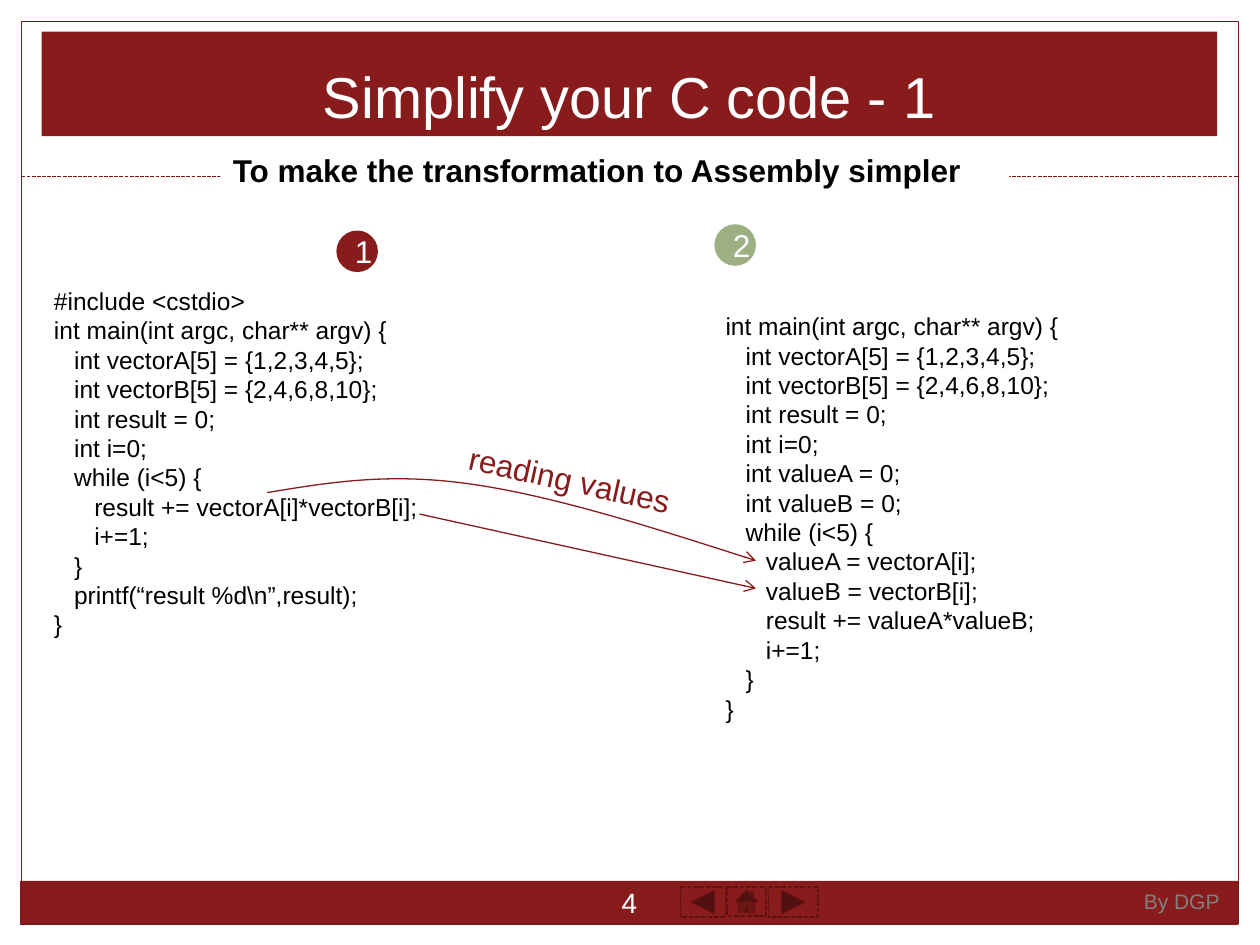
from lxml import etree
from pptx import Presentation, util as u
from pptx.dml.color import RGBColor
from pptx.enum import dml, shapes, text
from pptx.oxml.ns import qn

COLORS = {"maroon": "881C1C", "frame": "771717", "button": "621111",
          "sage": "9CB084", "white": "FFFFFF", "black": "000000", "gray": "7F7F7F"}
INDENT = 0.16  # inches for each nesting level

# (nesting level, statement)
DECLARATIONS = [(0, "int main(int argc, char** argv) {"),
                (1, "int vectorA[5] = {1,2,3,4,5};"),
                (1, "int vectorB[5] = {2,4,6,8,10};"),
                (1, "int result = 0;"),
                (1, "int i=0;")]
ORIGINAL_CODE = [(0, "#include <cstdio>"), *DECLARATIONS,
                 (1, "while (i<5) {"),
                 (2, "result += vectorA[i]*vectorB[i];"),
                 (2, "i+=1;"),
                 (1, "}"),
                 (1, "printf(“result %d\\n”,result);"),
                 (0, "}")]
SIMPLER_CODE = [*DECLARATIONS,
                (1, "int valueA = 0;"),
                (1, "int valueB = 0;"),
                (1, "while (i<5) {"),
                (2, "valueA = vectorA[i];"),
                (2, "valueB = vectorB[i];"),
                (2, "result += valueA*valueB;"),
                (2, "i+=1;"),
                (1, "}"),
                (0, "}")]


def rgb(name):
    return RGBColor.from_string(COLORS[name])


def inches(*values):
    return [u.Inches(value) for value in values]


def style_text(frame, size, color, align=text.PP_ALIGN.LEFT, bold=False):
    for paragraph in frame.paragraphs:
        paragraph.alignment = align
        for run in paragraph.runs:
            run.font.name = "Arial"
            run.font.size = u.Pt(size)
            run.font.bold = bold
            run.font.color.rgb = rgb(color)


def style_line(line, color, width=0.75, dashed=False):
    line.color.rgb = rgb(color)
    line.width = u.Pt(width)
    if dashed:
        line.dash_style = dml.MSO_LINE.SQUARE_DOT


def add_figure(slide, preset, box, fill=None):
    figure = slide.shapes.add_shape(preset, *inches(*box))
    figure.shadow.inherit = False
    figure.line.fill.background()
    if fill:
        figure.fill.solid()
        figure.fill.fore_color.rgb = rgb(fill)
    else:
        figure.fill.background()
    return figure


def add_label(slide, box, words, size, color, align=text.PP_ALIGN.LEFT,
              wrap=True, anchor=text.MSO_ANCHOR.TOP):
    label = slide.shapes.add_textbox(*inches(*box))
    label.text_frame.text = words
    label.text_frame.word_wrap = wrap
    label.text_frame.vertical_anchor = anchor
    style_text(label.text_frame, size, color, align)
    return label


def add_code(slide, box, lines):
    listing = add_label(slide, box, "\n".join(line for _, line in lines),
                        14, "black")
    for paragraph, (level, _) in zip(listing.text_frame.paragraphs, lines):
        paragraph.line_spacing = u.Pt(16.8)
        properties = paragraph._p.get_or_add_pPr()
        properties.set("marL", str(u.Inches(level * INDENT)))
        properties.set("indent", "0")


def add_arrowhead(line):
    etree.SubElement(line._get_or_add_ln(), qn("a:tailEnd"), type="arrow")


def add_line(slide, start, end, color, dashed=False):
    line = slide.shapes.add_connector(shapes.MSO_CONNECTOR.STRAIGHT,
                                      *inches(*start, *end))
    style_line(line.line, color, dashed=dashed)
    etree.SubElement(line._element.spPr, qn("a:effectLst"))
    return line


def add_curve(slide, start, points, color):
    """Draw cubic segments; points holds two controls and an end for each."""
    builder = slide.shapes.build_freeform(*inches(*start))
    builder.add_line_segments([inches(*point) for point in points], close=False)
    curve = builder.convert_to_shape()
    curve.shadow.inherit = False
    curve.fill.background()
    style_line(curve.line, color)
    segments = list(curve._element.iter(qn("a:lnTo")))
    for first in range(0, len(segments), 3):
        bezier = etree.Element(qn("a:cubicBezTo"))
        segments[first].addprevious(bezier)
        for segment in segments[first:first + 3]:
            bezier.append(segment[0])
            segment.getparent().remove(segment)
    return curve


def add_badge(slide, left, top, number, fill):
    badge = add_figure(slide, shapes.MSO_SHAPE.OVAL, (left, top, 0.33, 0.33), fill)
    badge.text_frame.text = number
    badge.text_frame.vertical_anchor = text.MSO_ANCHOR.MIDDLE
    style_text(badge.text_frame, 18, "white", text.PP_ALIGN.CENTER)


def add_frame_and_footer(slide):
    preset = shapes.MSO_SHAPE
    add_figure(slide, preset.RECTANGLE, (0.16, 6.99, 9.67, 0.35), "maroon")
    border = add_figure(slide, preset.RECTANGLE, (0.17, 0.17, 9.66, 7.16))
    style_line(border.line, "frame")
    add_line(slide, (0.17, 1.4), (9.83, 1.4), "frame", dashed=True)

    # Navigation buttons
    for kind, left, width, height in (
            (preset.ACTION_BUTTON_FORWARD_OR_NEXT, 6.1, 0.39, 0.24),
            (preset.ACTION_BUTTON_BACK_OR_PREVIOUS, 5.4, 0.36, 0.24),
            (preset.ACTION_BUTTON_HOME, 5.77, 0.31, 0.23)):
        button = add_figure(slide, kind, (left, 7.04, width, height), "maroon")
        style_line(button.line, "button", 0.91, dashed=True)

    # Slide number and author
    add_label(slide, (4.66, 6.99, 0.67, 0.34), "4", 16, "white",
              text.PP_ALIGN.CENTER, anchor=text.MSO_ANCHOR.MIDDLE)
    add_label(slide, (8.98, 7, 0.8, 0.3), "By DGP", 12, "gray", wrap=False)


def add_headings(slide):
    title = slide.shapes.title
    title.left, title.top, title.width, title.height = inches(0.33, 0.25, 9.33, 0.83)
    title.fill.solid()
    title.fill.fore_color.rgb = rgb("maroon")
    title.text_frame.text = "Simplify your C code - 1"
    title.text_frame.vertical_anchor = text.MSO_ANCHOR.BOTTOM
    style_text(title.text_frame, 33, "white", text.PP_ALIGN.CENTER)

    subtitle = add_figure(slide, shapes.MSO_SHAPE.RECTANGLE,
                          (1.75, 1.15, 6.26, 0.4), "white")
    subtitle.text_frame.text = "To make the transformation to Assembly simpler"
    subtitle.text_frame.vertical_anchor = text.MSO_ANCHOR.TOP
    style_text(subtitle.text_frame, 18, "black", bold=True)


def main():
    deck = Presentation()
    deck.slide_width, deck.slide_height = inches(10, 7.5)
    slide = deck.slides.add_slide(deck.slide_layouts[5])

    add_frame_and_footer(slide)
    add_headings(slide)

    # Code before and after, wide enough for the longest line
    add_code(slide, (5.66, 2.42, 2.95, 3.37), SIMPLER_CODE)
    add_code(slide, (0.33, 2.22, 3.15, 2.9), ORIGINAL_CODE)
    add_badge(slide, 2.67, 1.83, "1", "maroon")
    add_badge(slide, 5.67, 1.78, "2", "sage")

    # Where the vector reads move to
    read_b = add_line(slide, (3.33, 4.08), (6, 4.67), "maroon")
    read_a = add_curve(slide, (2.12, 3.91),
                       [(2.6, 3.83), (3.08, 3.75), (3.72, 3.84),
                        (4.37, 3.93), (5.19, 4.19), (6, 4.45)], "maroon")
    for arrow in (read_b, read_a):
        add_arrowhead(arrow.line)
    caption = add_label(slide, (3.61, 3.61, 1.88, 0.4), "reading values", 18, "maroon")
    caption.rotation = 12.5

    deck.save("out.pptx")


if __name__ == "__main__":
    main()
